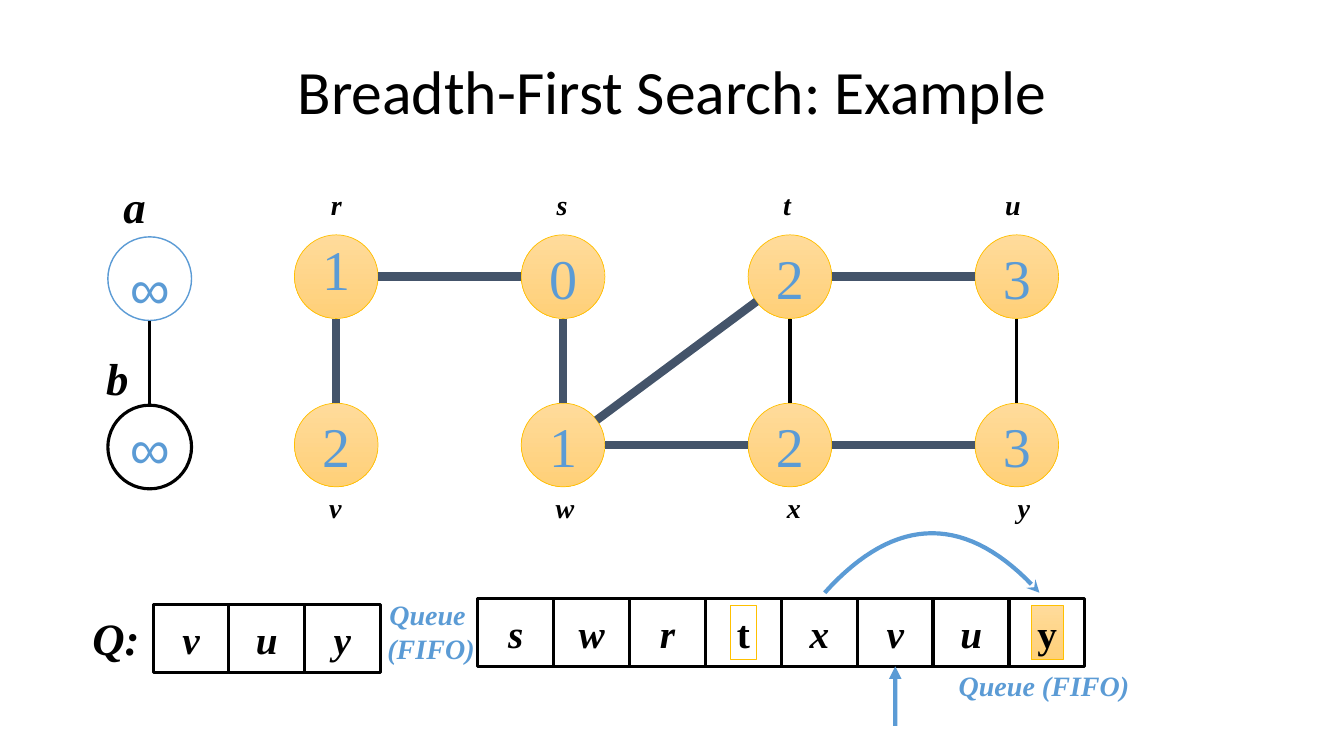
import math

from lxml import etree
from pptx import Presentation
from pptx.dml.color import RGBColor
from pptx.enum.shapes import MSO_CONNECTOR, MSO_SHAPE
from pptx.enum.text import MSO_ANCHOR, PP_ALIGN
from pptx.oxml.ns import qn
from pptx.util import Inches, Pt

STRAIGHT = MSO_CONNECTOR.STRAIGHT
OVAL = MSO_SHAPE.OVAL
RECTANGLE = MSO_SHAPE.RECTANGLE
MIDDLE = MSO_ANCHOR.MIDDLE
CENTER = PP_ALIGN.CENTER

BLACK = RGBColor(0x00, 0x00, 0x00)
WHITE = RGBColor(0xFF, 0xFF, 0xFF)
BLUE = RGBColor(0x5B, 0x9B, 0xD5)
SLATE = RGBColor(0x44, 0x54, 0x6A)
GOLD = RGBColor(0xFF, 0xC0, 0x00)
GOLD_LIGHT = RGBColor(0xFF, 0xDB, 0x9B)
GOLD_DEEP = RGBColor(0xFF, 0xD0, 0x78)

SERIF = "Times New Roman"
INSET = 0.05
DIAMETER = 0.83
CELL_WIDTH, CELL_HEIGHT = 0.75, 0.67
GLYPH_WIDTHS = {"r": 0.17, "s": 0.17, "t": 0.15, "u": 0.23, "v": 0.19, "w": 0.27,
                "x": 0.21, "y": 0.19, "a": 0.21, "b": 0.21, "Q:": 0.42, "∞": 0.29}
DIGIT_WIDTH = 0.2


def write_lines(shape, lines, size, color, font=SERIF, emphasis=True, italic=True,
                wrap=False, spacing=None):
    frame = shape.text_frame
    frame.word_wrap = wrap
    frame.vertical_anchor = MIDDLE
    frame.margin_left = frame.margin_right = Inches(INSET)
    frame.margin_top = frame.margin_bottom = Inches(INSET)
    for index, line in enumerate(lines):
        paragraph = frame.add_paragraph() if index else frame.paragraphs[0]
        paragraph.alignment = CENTER
        if spacing:
            paragraph.line_spacing = spacing
        run = paragraph.add_run()
        run.text = line
        run.font.name = font
        run.font.size = Pt(size)
        run.font.bold = emphasis
        run.font.italic = emphasis and italic
        run.font.color.rgb = color


def text_extent(text, size):
    width = 2 * INSET + GLYPH_WIDTHS.get(text, DIGIT_WIDTH) * size / 28
    return width, 2 * INSET + 1.14 * size / 72


def add_label(shapes, center, text, size, color=BLACK, **style):
    width, height = text_extent(text, size)
    x, y = center
    label = shapes.add_textbox(Inches(x - width / 2), Inches(y - height / 2),
                               Inches(width), Inches(height))
    write_lines(label, [text], size, color, **style)


def add_outline(shapes, kind, center, width, height, line_color, line_width):
    x, y = center
    shape = shapes.add_shape(kind, Inches(x - width / 2), Inches(y - height / 2),
                             Inches(width), Inches(height))
    shape.shadow.inherit = False
    shape.fill.background()
    shape.line.color.rgb = line_color
    shape.line.width = Pt(line_width)
    return shape


def fill_gold(shape):
    shape.fill.gradient()
    shape.fill.gradient_angle = 270
    for stop, color in zip(shape.fill.gradient_stops, (GOLD_LIGHT, GOLD_DEEP)):
        stop.color.rgb = color


def style_line(item, color, width, arrowhead=None):
    item.line.color.rgb = color
    item.line.width = Pt(width)
    if arrowhead:
        etree.SubElement(item.line._get_or_add_ln(), qn("a:tailEnd"), type=arrowhead)


def add_line(shapes, start, end, color, width, arrowhead=None):
    line = shapes.add_connector(STRAIGHT, *(Inches(v) for v in (*start, *end)))
    style_line(line, color, width, arrowhead)
    etree.SubElement(line._element.spPr, qn("a:effectLst"))
    return line


def add_edge(shapes, start, end, color=SLATE, width=6):
    dx, dy = end[0] - start[0], end[1] - start[1]
    trim = DIAMETER / 2 / math.hypot(dx, dy)
    add_line(shapes, (start[0] + dx * trim, start[1] + dy * trim),
             (end[0] - dx * trim, end[1] - dy * trim), color, width)


def add_title(slide, left, top, width, height):
    title = slide.shapes.title
    title.left, title.top = Inches(left), Inches(top)
    title.width, title.height = Inches(width), Inches(height)
    write_lines(title, ["Breadth-First Search: Example"], 44, BLACK, font="Calibri",
                emphasis=False, wrap=True, spacing=0.9)


def add_visited_graph(slide, left, top, column_gap, row_gap):
    radius = DIAMETER / 2
    rows = ("rstu", "vwxy")
    centers = {name: (left + radius + column * column_gap, top + radius + row * row_gap)
               for row, names in enumerate(rows) for column, name in enumerate(names)}
    distances = dict(zip("rstuvwxy", "10232123"))
    label_shifts = dict(zip("rstuvwxy", (0, -0.01, -0.03, -0.04, -0.01, 0.02, 0.04, 0.07)))
    for name, center in centers.items():
        node = slide.shapes.add_group_shape().shapes
        fill_gold(add_outline(node, OVAL, center, DIAMETER, DIAMETER, GOLD, 0.5))
        add_label(node, center, distances[name], 40, BLUE, emphasis=False,
                  spacing=0.7 if name == "r" else None)
        label_y = top - 0.3 if name in rows[0] else top + row_gap + DIAMETER + 0.2
        add_label(slide.shapes, (center[0] + label_shifts[name], label_y), name, 20)
    for start, end in ("vr", "rs", "sw", "wt", "wx", "tu", "xy"):
        add_edge(slide.shapes, centers[start], centers[end])
    for start, end in ("xt", "yu"):
        add_edge(slide.shapes, centers[start], centers[end], BLACK, 2.25)


def add_unreached_pair(slide, left, top, row_gap):
    pair = slide.shapes.add_group_shape().shapes
    x, y = left + DIAMETER / 2, top + DIAMETER / 2
    node_a, node_b = (x, y), (x, y + row_gap)
    circle_a = add_outline(pair, OVAL, node_a, DIAMETER, DIAMETER, BLUE, 1)
    circle_a.fill.solid()
    circle_a.fill.fore_color.rgb = WHITE
    add_outline(pair, OVAL, node_b, DIAMETER, DIAMETER, BLACK, 2.25)
    add_edge(pair, node_a, node_b, BLACK, 2.25)
    for infinity_center in ((x, y + 0.08), node_b):
        add_label(pair, infinity_center, "∞", 40, BLUE, font="Arial", emphasis=False)
    add_label(pair, (x - 0.15, y - 0.73), "a", 32)
    add_label(pair, (x - 0.32, y + 0.98), "b", 32)


def add_queue(slide, left, top, pitch, names, highlights=()):
    cells = {}
    for index, name in enumerate(names):
        center = (left + index * pitch + CELL_WIDTH / 2, top + CELL_HEIGHT / 2)
        cell = slide.shapes.add_group_shape().shapes
        cells[name] = add_outline(cell, RECTANGLE, center, CELL_WIDTH, CELL_HEIGHT, BLACK, 2.25)
        if name in highlights:
            width, height = highlights[name], text_extent(name, 28)[1]
            highlight = add_outline(cell, RECTANGLE, center, width, height, GOLD, 0.5)
            if name == "y":
                fill_gold(highlight)
            write_lines(highlight, [name], 28, BLACK, italic=False)
        else:
            add_label(cell, center, name, 28)
    return cells


def add_queue_caption(slide, left, top, width, height, lines):
    caption = slide.shapes.add_textbox(*(Inches(v) for v in (left, top, width, height)))
    write_lines(caption, lines, 20, BLUE, wrap=True)


def add_enqueue_arc(slide, left, bottom, width, rise, steps=32):
    points = []
    for step in range(steps + 1):
        t = step / steps
        points.append((Inches(left + width * t), Inches(bottom - 4 * rise * t * (1 - t))))
    builder = slide.shapes.build_freeform(*points[0])
    builder.add_line_segments(points[1:], close=False)
    arc = builder.convert_to_shape()
    arc.shadow.inherit = False
    arc.fill.background()
    style_line(arc, BLUE, 3, "stealth")


def main():
    deck = Presentation()
    deck.slide_width, deck.slide_height = Inches(13.33), Inches(7.5)
    slide = deck.slides.add_slide(deck.slide_layouts[5])
    add_title(slide, 0.92, 0.4, 11.5, 1.07)
    add_visited_graph(slide, 2.92, 2.33, 2.25, 1.67)
    add_unreached_pair(slide, 1.07, 2.35, 1.67)
    add_label(slide.shapes, (1.15, 6.33), "Q:", 32)
    add_queue(slide, 1.52, 6, CELL_WIDTH, "vuy")
    history = add_queue(slide, 4.74, 5.94, (10.01 - 4.74) / 7, "swrtxvuy",
                        {"t": 0.25, "y": 0.32})
    add_enqueue_arc(slide, 8.18, 5.88, 2.13, 0.59)
    pointer = add_line(slide.shapes, (8.88, 7.2), (8.88, 6.6), BLUE, 3, "triangle")
    pointer.end_connect(history["v"], 2)
    add_queue_caption(slide, 9.01, 6.59, 2.69, 0.41, ["Queue (FIFO)"])
    add_queue_caption(slide, 3.77, 5.9, 1.01, 0.73, ["Queue ", "(FIFO)"])
    deck.save("out.pptx")


if __name__ == "__main__":
    main()
